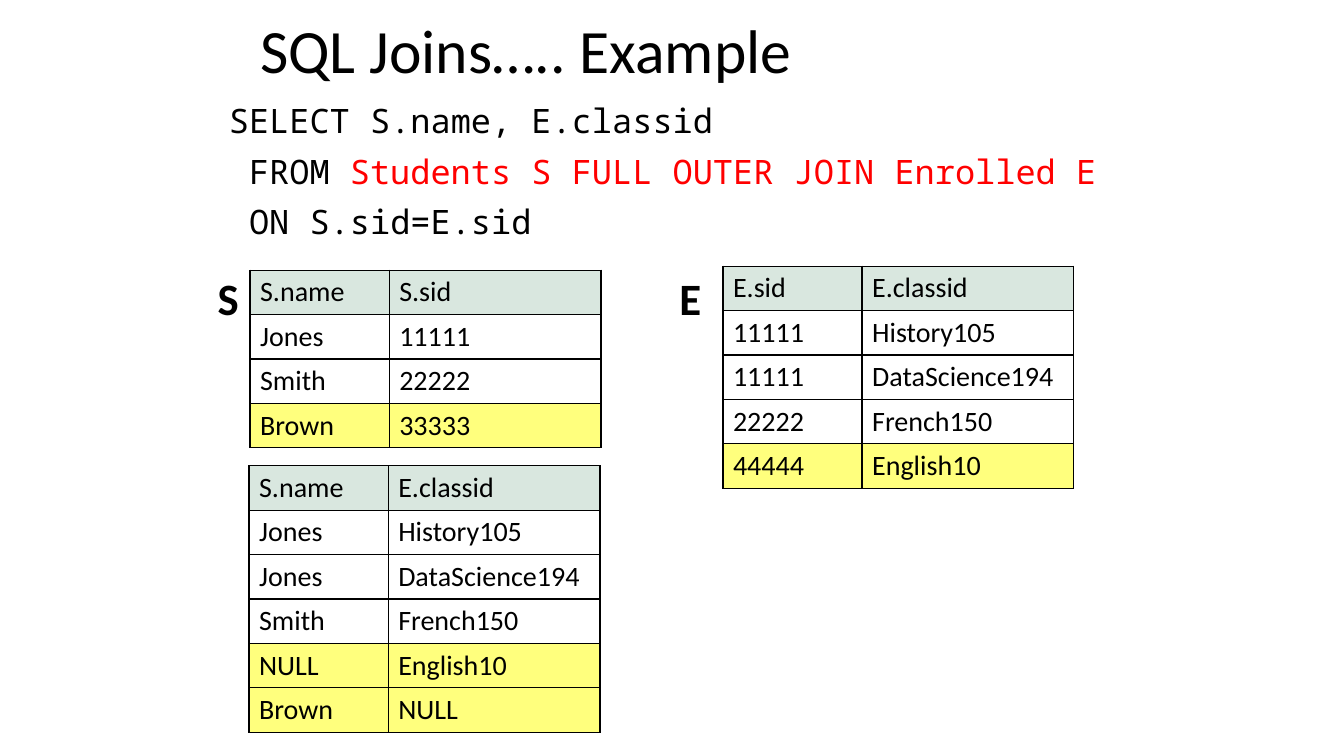
from lxml import etree
from pptx import Presentation
from pptx import util as u
from pptx.dml.color import RGBColor
from pptx.enum import text
from pptx.oxml import ns

BLACK = RGBColor(0x00, 0x00, 0x00)
RED = RGBColor(0xFF, 0x00, 0x00)
HEADER_GREEN = RGBColor(0xD9, 0xE7, 0xDF)
UNMATCHED_YELLOW = RGBColor(0xFF, 0xFF, 0x7D)


def style_font(font, name, size, color=None, bold=False):
    font.name = name
    font.size = u.Pt(size)
    font.bold = bold
    if color is not None:
        font.color.rgb = color


def add_borders(cell):
    properties = cell._tc.get_or_add_tcPr()
    for side in ("lnL", "lnR", "lnT", "lnB"):
        line = etree.SubElement(properties, ns.qn(f"a:{side}"), w=str(u.Pt(1)))
        fill = etree.SubElement(line, ns.qn("a:solidFill"))
        etree.SubElement(fill, ns.qn("a:srgbClr"), val=str(BLACK))


deck = Presentation()
deck.slide_width = u.Inches(13.33)
deck.slide_height = u.Inches(7.5)
page = deck.slides.add_slide(deck.slide_layouts[1])

title = page.shapes.title
title.left, title.top = u.Inches(2.48), u.Inches(0.08)
title.width, title.height = u.Inches(8.48), u.Inches(0.91)
title.text_frame.text = "SQL Joins….. Example"
title.text_frame.vertical_anchor = text.MSO_ANCHOR.MIDDLE
heading = title.text_frame.paragraphs[0]
heading.alignment = text.PP_ALIGN.LEFT
heading.line_spacing = 0.9
style_font(heading.font, "Calibri", 44, BLACK)

query = page.placeholders[1]
query.left, query.top = u.Inches(2.17), u.Inches(0.99)
query.width, query.height = u.Inches(9.19), u.Inches(6.19)
query_lines = [
    [("SELECT S.name, E.classid", BLACK)],
    [(" FROM ", BLACK), ("Students S FULL OUTER JOIN Enrolled E", RED)],
    [(" ON S.sid=E.sid", BLACK)],
]
for index, spans in enumerate(query_lines):
    frame = query.text_frame
    para = frame.add_paragraph() if index else frame.paragraphs[0]
    para.line_spacing = 0.9
    para.space_before = u.Pt(10 if index else 0)
    properties = para._p.get_or_add_pPr()
    properties.set("marL", "0")
    properties.set("indent", "0")
    etree.SubElement(properties, ns.qn("a:buNone"))
    style_font(para.font, "Noto Sans Mono", 24)
    for words, color in spans:
        span = para.add_run()
        span.text = words
        span.font.color.rgb = color

students = [("S.name", "S.sid"), ("Jones", "11111"), ("Smith", "22222"),
            ("Brown", "33333")]
enrolled = [("E.sid", "E.classid"), ("11111", "History105"),
            ("11111", "DataScience194"), ("22222", "French150"),
            ("44444", "English10")]
joined = [("S.name", "E.classid"), ("Jones", "History105"),
          ("Jones", "DataScience194"), ("Smith", "French150"),
          ("NULL", "English10"), ("Brown", "NULL")]

for left, top, rows, unmatched in [(2.48, 2.68, students, 1),
                                   (7.17, 2.64, enrolled, 1),
                                   (2.47, 4.62, joined, 2)]:
    table = page.shapes.add_table(
        len(rows), 2, u.Inches(left), u.Inches(top),
        u.Inches(3.48), u.Inches(0.41 * len(rows))).table
    table.first_row = False
    table.horz_banding = False
    for column, width in zip(table.columns, (1.38, 2.1)):
        column.width = u.Inches(width)
    for row, values in enumerate(rows):
        for column, value in enumerate(values):
            cell = table.cell(row, column)
            cell.text = value
            style_font(cell.text_frame.paragraphs[0].font, "Calibri", 20, BLACK)
            add_borders(cell)
            if row == 0:
                cell.fill.solid()
                cell.fill.fore_color.rgb = HEADER_GREEN
            elif row >= len(rows) - unmatched:
                cell.fill.solid()
                cell.fill.fore_color.rgb = UNMATCHED_YELLOW
            else:
                cell.fill.background()

for label, left, width in [("E", 6.64, 0.42), ("S", 2.06, 0.41)]:
    box = page.shapes.add_textbox(u.Inches(left), u.Inches(2.64),
                                  u.Inches(width), u.Inches(0.64))
    box.text_frame.word_wrap = False
    box.text_frame.auto_size = text.MSO_AUTO_SIZE.SHAPE_TO_FIT_TEXT
    box.text_frame.text = label
    style_font(box.text_frame.paragraphs[0].font, "Calibri", 32, BLACK, True)

deck.save("out.pptx")
